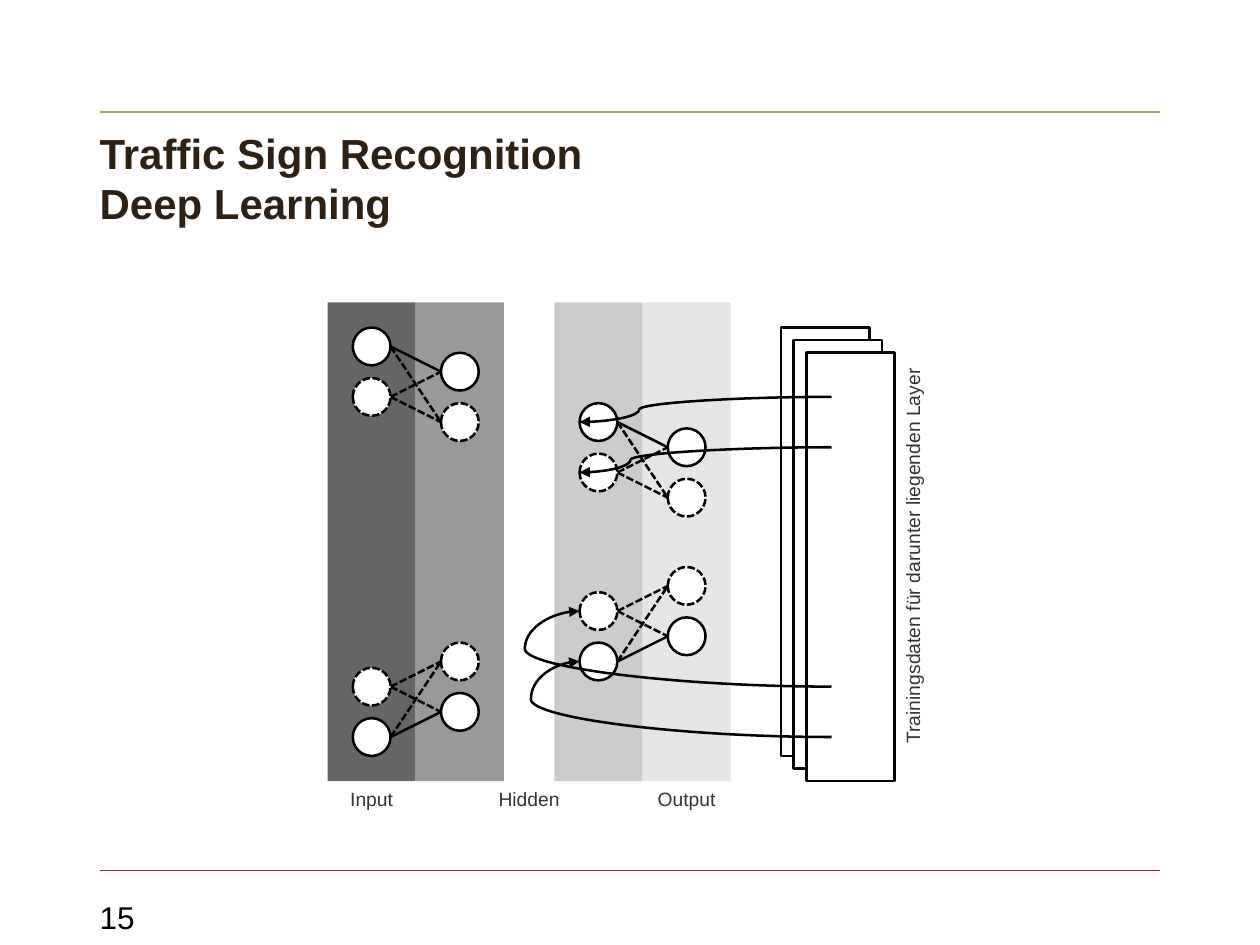
from lxml import etree
from pptx import Presentation
from pptx.dml.color import RGBColor
from pptx.enum.dml import MSO_LINE
from pptx.enum.shapes import MSO_CONNECTOR, MSO_SHAPE
from pptx.enum.text import MSO_ANCHOR, PP_ALIGN
from pptx.oxml.ns import qn
from pptx.util import Emu, Pt

PX = 9144  # 100 px to the inch
FONT = "Arial"
DASH = MSO_LINE.SQUARE_DOT
STRAIGHT, CURVE = MSO_CONNECTOR.STRAIGHT, MSO_CONNECTOR.CURVE
RECTANGLE, OVAL = MSO_SHAPE.RECTANGLE, MSO_SHAPE.OVAL
LEFT, CENTER = PP_ALIGN.LEFT, PP_ALIGN.CENTER

BLACK = RGBColor(0x00, 0x00, 0x00)
WHITE = RGBColor(0xFF, 0xFF, 0xFF)
GOLD = RGBColor(0xB4, 0xA0, 0x69)
CRIMSON = RGBColor(0xA5, 0x1E, 0x37)
TITLE_BROWN = RGBColor(0x2D, 0x20, 0x15)
LABEL_GRAY = RGBColor(0x33, 0x33, 0x33)
BAND_GRAYS = [RGBColor(gray, gray, gray) for gray in (0x66, 0x99, 0xCC, 0xE6)]

NODE = 30
NODE_STEP = 40
BAND_WIDTH = 70
BAND_LEFTS = (0, 70, 180, 250)
FIRST_NODE_TOPS = (20, 40, 80, 100)
STROKE = 1.45


def px(*lengths):
    return [Emu(length * PX) for length in lengths]


def add_box(slide, kind, box, fill, outlined=True, dashed=False):
    shape = slide.shapes.add_shape(kind, *px(*box))
    shape.shadow.inherit = False
    shape.fill.solid()
    shape.fill.fore_color.rgb = fill
    if outlined:
        shape.line.color.rgb = BLACK
        shape.line.width = Pt(STROKE)
        if dashed:
            shape.line.dash_style = DASH
    else:
        shape.line.fill.background()
    return shape


def add_line(slide, start, end, color=BLACK, width=STROKE, dashed=False, kind=STRAIGHT):
    connector = slide.shapes.add_connector(kind, *px(*start, *end))
    connector.line.color.rgb = color
    connector.line.width = Pt(width)
    if dashed:
        connector.line.dash_style = DASH
    etree.SubElement(connector._element.spPr, qn("a:effectLst"))
    return connector


def add_feedback_arrow(slide, start, end, bend):
    """Curved arrow; bend is the turning point as a share of its width."""
    connector = add_line(slide, start, end, kind=CURVE)
    properties = connector._element.spPr
    geometry = properties.find(qn("a:prstGeom"))
    adjustments = geometry.find(qn("a:avLst"))
    if adjustments is None:
        adjustments = etree.SubElement(geometry, qn("a:avLst"))
    etree.SubElement(adjustments, qn("a:gd"), name="adj1", fmla=f"val {round(bend * 100000)}")
    etree.SubElement(properties.find(qn("a:ln")), qn("a:tailEnd"), type="triangle")


def format_text(shape, text, size, color, align=LEFT, bold=False):
    frame = shape.text_frame
    frame.text = text
    frame.word_wrap = True
    paragraph = frame.paragraphs[0]
    paragraph.alignment = align
    for run in paragraph.runs:
        run.font.name = FONT
        run.font.size = Pt(size)
        run.font.bold = bold
        run.font.color.rgb = color
    return frame


def clear_margins(frame):
    frame.margin_left = frame.margin_right = frame.margin_top = frame.margin_bottom = 0


def add_label(slide, text, box, align=CENTER):
    label = slide.shapes.add_textbox(*px(*box))
    format_text(label, text, 11, LABEL_GRAY, align)
    return label


def add_frame(slide, left, width):
    # Rules, title and page number
    for y, color in ((89, GOLD), (691, CRIMSON)):
        add_line(slide, (left, y), (left + width, y), color, 0.75)
    title = slide.shapes.title
    title.left, title.top, title.width, title.height = px(left, 101, width, 80)
    frame = format_text(title, "Traffic Sign Recognition\vDeep Learning", 24, TITLE_BROWN, bold=True)
    frame.vertical_anchor = MSO_ANCHOR.BOTTOM
    clear_margins(frame)
    number = slide.shapes.add_textbox(*px(left, 713, width, 30))
    clear_margins(format_text(number, "15", 18, BLACK))


def layer_nodes(layer, left, top, height):
    """Nodes of one layer as (left, top, dashed); the lower half mirrors the upper."""
    x = left + BAND_LEFTS[layer] + (BAND_WIDTH - NODE) // 2
    outer = FIRST_NODE_TOPS[layer]
    inner = outer + NODE_STEP
    upper = [(x, top + outer, False), (x, top + inner, True)]
    lower = [(x, top + height - NODE - inset, dashed)
             for inset, dashed in ((inner, True), (outer, False))]
    return upper, lower


def add_network(slide, left, top, height):
    # Layer bands
    for offset, gray in zip(BAND_LEFTS, BAND_GRAYS):
        add_box(slide, RECTANGLE, (left + offset, top, BAND_WIDTH, height), gray, outlined=False)
    layers = [layer_nodes(layer, left, top, height) for layer in range(len(BAND_LEFTS))]

    # Links inside each pair of layers
    half = NODE // 2
    for first, second in (layers[:2], layers[2:]):
        for sources, targets in zip(first, second):
            for x1, y1, dashed1 in sources:
                for x2, y2, dashed2 in targets:
                    add_line(slide, (x1 + NODE, y1 + half), (x2, y2 + half),
                             dashed=dashed1 or dashed2)

    # Nodes
    for upper, lower in layers:
        for x, y, dashed in upper + lower:
            add_box(slide, OVAL, (x, y, NODE, NODE), WHITE, dashed=dashed)

    # Captions below the bands
    captions = (("Input", 0, BAND_WIDTH), ("Hidden", 70, 180), ("Output", 250, BAND_WIDTH))
    for text, offset, width in captions:
        add_label(slide, text, (left + offset, top + height, width, 28))
    upper, lower = layers[2]
    return [(x, y + half) for x, y, _ in upper + lower]


def add_training_data(slide, left, top, targets):
    # Stack of sheets
    for offset in (0, 10, 20):
        add_box(slide, RECTANGLE, (left + offset, top + offset, 70, 340), WHITE)
    label = add_label(slide, "Trainingsdaten für darunter liegenden Layer",
                      (left - 66, top + 156, 340, 28), LEFT)
    label.rotation = 270

    # Arrows back to the hidden layer
    starts = (55, 95, 285, 325)
    bends = (0.763, 0.798, 1.217, 1.193)
    for y, target, bend in zip(starts, targets, bends):
        add_feedback_arrow(slide, (left + 40, top + y), target, bend)


def main():
    presentation = Presentation()
    presentation.slide_width, presentation.slide_height = px(1000, 750)
    slide = presentation.slides.add_slide(presentation.slide_layouts[5])
    add_frame(slide, 79, 842)
    targets = add_network(slide, 260, 240, 380)
    add_training_data(slide, 620, 260, targets)
    presentation.save("out.pptx")


if __name__ == "__main__":
    main()
